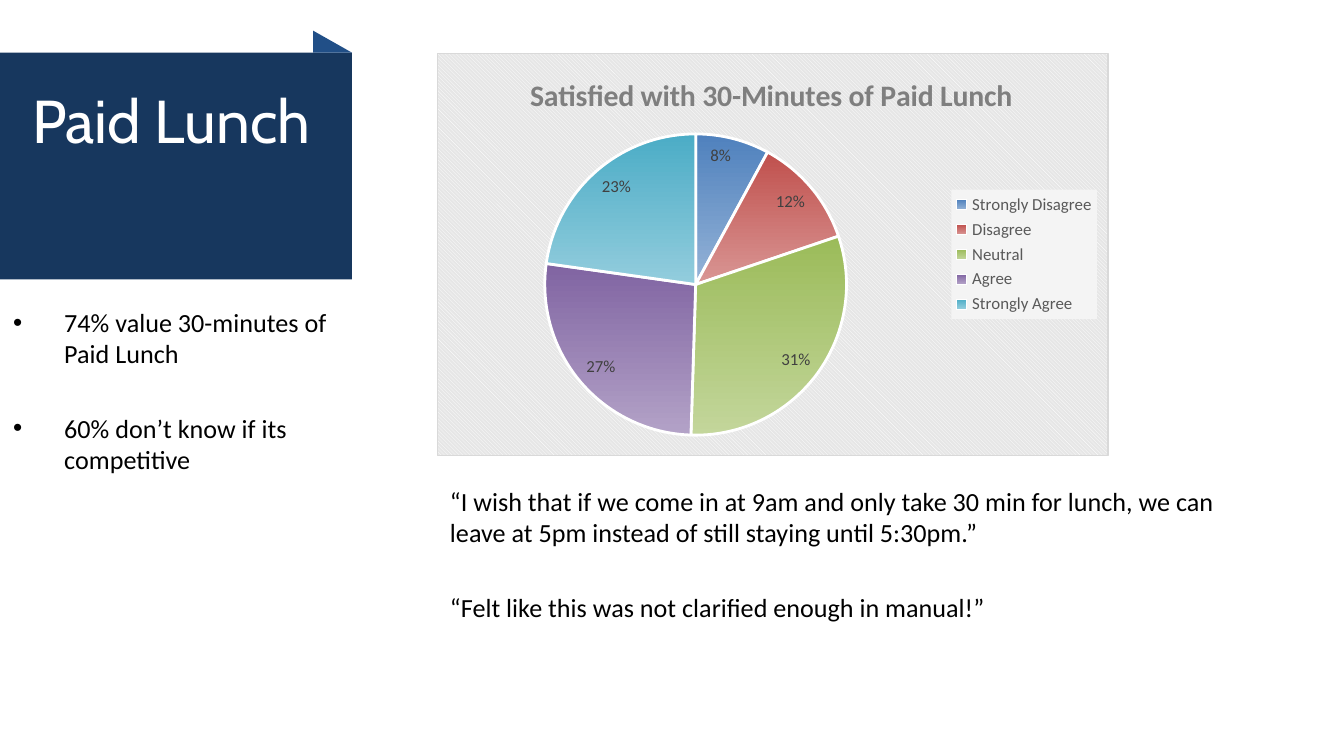
from dataclasses import dataclass

from lxml.etree import SubElement
from pptx import Presentation
from pptx.chart.data import CategoryChartData
from pptx.dml.color import RGBColor
from pptx.enum.chart import XL_CHART_TYPE as ChartType
from pptx.enum.chart import XL_LABEL_POSITION as LabelPosition
from pptx.enum.chart import XL_LEGEND_POSITION as LegendPosition
from pptx.enum.shapes import MSO_SHAPE as Preset
from pptx.enum.text import MSO_ANCHOR as Anchor
from pptx.oxml import parse_xml
from pptx.oxml.ns import nsdecls, qn
from pptx.util import Inches, Pt

COLUMNS, ROWS = 80, 45


@dataclass(frozen=True)
class Theme:
    """Colours, fonts and type sizes of the deck."""
    navy: str = "17375E"
    fold: str = "214F87"
    white: str = "FFFFFF"
    ink: str = "000000"
    chart_title: str = "7F7F7F"
    label: str = "404040"
    legend: str = "595959"
    legend_back: str = "F4F4F4"
    chart_back: str = "E6E6E6"
    chart_border: str = "D9D9D9"
    heading_font: str = "Cabin"
    body_font: str = "Calibri"
    heading: float = 32.4
    chart_heading: float = 16
    body: float = 14
    small: float = 9
    paragraph_gap: float = 23


def style_font(font, size, color, name, bold=False):
    """Apply size, colour and typeface to a font."""
    font.size, font.name, font.bold = Pt(size), name, bold
    font.color.rgb = RGBColor.from_string(color)


def write_text(frame, paragraphs, size, color, name, gap=0, indent=0):
    """Fill a text frame, with hanging bullets when an indent is given."""
    for index, wording in enumerate(paragraphs):
        paragraph = frame.paragraphs[0] if index == 0 else frame.add_paragraph()
        if indent:
            properties = paragraph._p.get_or_add_pPr()
            properties.set("marL", str(indent))
            properties.set("indent", str(-indent))
            SubElement(properties, qn("a:buFont"), typeface="Arial")
            SubElement(properties, qn("a:buChar"), char="•")
        if index:
            paragraph.space_before = Pt(gap)
        run = paragraph.add_run()
        run.text = wording
        style_font(run.font, size, color, name)


def place(element, **shares):
    """Give a chart part a manual layout in shares of the chart."""
    for existing in element.findall(qn("c:layout")):
        element.remove(existing)
    target = '<c:layoutTarget val="inner"/>' if "w" in shares else ""
    modes = "".join(f'<c:{axis}Mode val="edge"/>' for axis in "xy")
    values = "".join(f'<c:{key} val="{share}"/>' for key, share in shares.items())
    layout = parse_xml(f'<c:layout {nsdecls("c")}><c:manualLayout>'
                       f'{target}{modes}{values}</c:manualLayout></c:layout>')
    caption = element.find(qn("c:tx"))
    if caption is None:
        element.insert(0, layout)
    else:
        caption.addnext(layout)


def paint_after(element, properties):
    """Add shape properties to a chart part after the given element."""
    element.addnext(parse_xml(f'<c:spPr {nsdecls("c", "a")}>{properties}</c:spPr>'))


class SlideBuilder:
    """Draws themed elements on the current slide."""

    def __init__(self, presentation, theme):
        """Start a blank slide and measure its grid."""
        self.theme = theme
        self.slide = presentation.slides.add_slide(presentation.slide_layouts[6])
        self.column = presentation.slide_width / COLUMNS
        self.row = presentation.slide_height / ROWS

    def box(self, left, top, width, height):
        """Turn grid columns and rows into slide lengths."""
        return (int(left * self.column), int(top * self.row),
                int(width * self.column), int(height * self.row))

    def panel(self, preset, color, *cells):
        """Draw a flat shape without outline."""
        panel = self.slide.shapes.add_shape(preset, *self.box(*cells))
        panel.shadow.inherit = False
        panel.fill.solid()
        panel.fill.fore_color.rgb = RGBColor.from_string(color)
        panel.line.fill.background()

    def text(self, paragraphs, *cells, anchor=Anchor.TOP, **style):
        """Add a wrapping text box."""
        frame = self.slide.shapes.add_textbox(*self.box(*cells)).text_frame
        frame.word_wrap = True
        frame.vertical_anchor = anchor
        write_text(frame, paragraphs, **style)

    def pie(self, heading, answers, *cells):
        """Add a pie chart from answers of (name, share, top, bottom colour)."""
        theme = self.theme
        data = CategoryChartData()
        data.categories = [name for name, *_ in answers]
        data.add_series("Series 1", [share for _, share, *_ in answers])
        chart = self.slide.shapes.add_chart(
            ChartType.PIE, *self.box(*cells), data).chart
        style_font(chart.font, 10, theme.ink, theme.body_font)
        self.pie_heading(chart, heading)
        self.pie_slices(chart.plots[0], answers)
        self.pie_legend(chart)
        frame = chart.element.find(qn("c:chart"))
        place(frame.find(qn("c:plotArea")), x=0.16, y=0.2, w=0.45, h=0.75)
        paint_after(frame, f'''<a:pattFill prst="dkDnDiag">
            <a:fgClr><a:srgbClr val="{theme.white}"/></a:fgClr>
            <a:bgClr><a:srgbClr val="{theme.chart_back}"/></a:bgClr></a:pattFill>
            <a:ln w="{Pt(0.75)}"><a:solidFill>
            <a:srgbClr val="{theme.chart_border}"/></a:solidFill></a:ln>''')

    def pie_heading(self, chart, heading):
        """Write the chart heading."""
        title = chart.chart_title
        title.text_frame.text = heading
        style_font(title.text_frame.paragraphs[0].runs[0].font,
                   self.theme.chart_heading, self.theme.chart_title,
                   self.theme.body_font, bold=True)
        place(chart.element.find(qn("c:chart")).find(qn("c:title")), x=0.13, y=0.04)

    def pie_slices(self, plot, answers):
        """Colour the slices and label them with percentages."""
        theme = self.theme
        plot.vary_by_categories = True
        for index, (_, _, *colors) in enumerate(answers):
            wedge = plot.series[0].points[index].format
            wedge.fill.gradient()
            wedge.fill.gradient_angle = 270
            for stop, color in zip(wedge.fill.gradient_stops, colors):
                stop.color.rgb = RGBColor.from_string(color)
            wedge.line.color.rgb = RGBColor.from_string(theme.white)
            wedge.line.width = Pt(1.5)
        plot.has_data_labels = True
        labels = plot.data_labels
        labels.show_value, labels.show_percentage = False, True
        labels.number_format, labels.number_format_is_linked = "0%", False
        labels.position = LabelPosition.INSIDE_END
        style_font(labels.font, theme.small, theme.label, theme.body_font)

    def pie_legend(self, chart):
        """Show the legend on a pale panel at the right."""
        theme = self.theme
        chart.has_legend = True
        legend = chart.legend
        legend.position = LegendPosition.RIGHT
        legend.include_in_layout = False
        style_font(legend.font, theme.small, theme.legend, theme.body_font)
        overlay = chart.element.find(qn("c:chart")).find(qn("c:legend")).find(qn("c:overlay"))
        paint_after(overlay, f'<a:solidFill><a:srgbClr val="{theme.legend_back}"/></a:solidFill>')


def main():
    """Build the lunch survey slide."""
    presentation = Presentation()
    presentation.slide_width = Inches(10)
    presentation.slide_height = presentation.slide_width * ROWS // COLUMNS
    theme = Theme()
    slide = SlideBuilder(presentation, theme)
    body = dict(size=theme.body, color=theme.ink, name=theme.body_font,
                gap=theme.paragraph_gap)

    slide.panel(Preset.RECTANGLE, theme.navy, 0, 3.13, 20.95, 13.5)
    slide.text(["Paid Lunch"], 1.12, 3.36, 19.5, 7.5, anchor=Anchor.MIDDLE,
               size=theme.heading, color=theme.white, name=theme.heading_font)
    slide.panel(Preset.RIGHT_TRIANGLE, theme.fold, 18.65, 1.83, 2.3, 1.3)
    slide.text(["“I wish that if we come in at 9am and only take 30 min for lunch, "
                "we can leave at 5pm instead of still staying until 5:30pm.”",
                "“Felt like this was not clarified enough in manual!”"],
               26, 28.5, 48, 15.4, **body)
    slide.text(["74% value 30-minutes of Paid Lunch",
                "60% don’t know if its competitive"],
               0, 17.85, 20.95, 27, indent=Inches(0.38), **body)
    slide.pie("Satisfied with 30-Minutes of Paid Lunch", [
        ("Strongly Disagree", 8, "4F81BD", "95B3D7"),
        ("Disagree", 12, "C0504D", "D99694"),
        ("Neutral", 31, "9BBB59", "C3D69B"),
        ("Agree", 27, "8064A2", "B3A2C7"),
        ("Strongly Agree", 23, "4BACC6", "93CDDD"),
    ], 26, 3.15, 40, 24)
    presentation.save("out.pptx")


if __name__ == "__main__":
    main()
